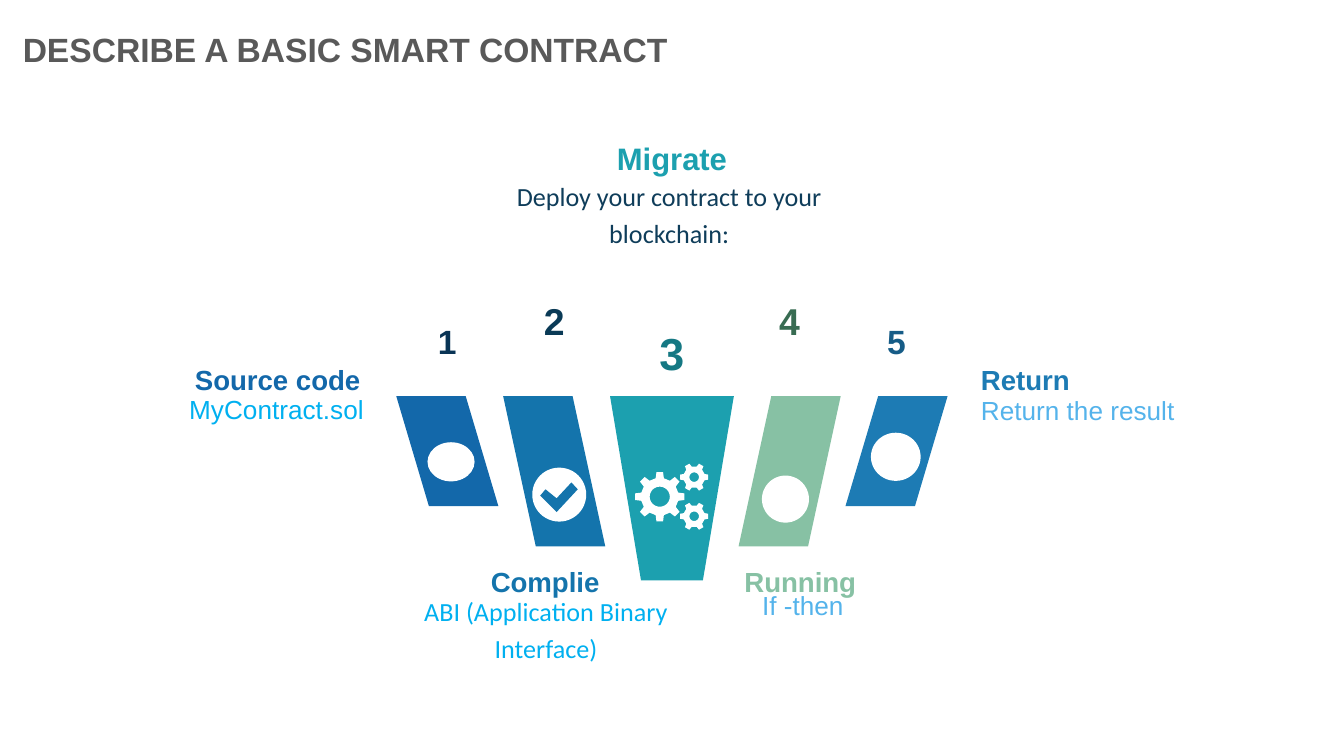
import math

from pptx import Presentation
from pptx import util as u
from pptx.dml.color import RGBColor
from pptx.enum import shapes, text

SHAPE = shapes.MSO_SHAPE
LEFT, CENTER, RIGHT = text.PP_ALIGN.LEFT, text.PP_ALIGN.CENTER, text.PP_ALIGN.RIGHT
TOP, MIDDLE = text.MSO_ANCHOR.TOP, text.MSO_ANCHOR.MIDDLE
WHITE = "FFFFFF"


def paint(shape, color):
    """Give a shape a flat fill without outline or shadow."""
    shape.fill.solid()
    shape.fill.fore_color.rgb = RGBColor.from_string(color)
    shape.line.fill.background()
    shape.shadow.inherit = False


def write(shape, words, size, color, bold=True, font="Arial", align=CENTER,
          anchor=MIDDLE, side=0, spacing=1.0, wrap=True):
    frame = shape.text_frame
    frame.auto_size = text.MSO_AUTO_SIZE.NONE
    frame.word_wrap = wrap
    frame.vertical_anchor = anchor
    frame.margin_left = frame.margin_right = u.Cm(side)
    frame.margin_top = frame.margin_bottom = 0
    paragraph = frame.paragraphs[0]
    paragraph.alignment = align
    paragraph.line_spacing = spacing
    run = paragraph.add_run()
    run.text = words
    run.font.name = font
    run.font.size = u.Pt(size)
    run.font.bold = bold
    run.font.color.rgb = RGBColor.from_string(color)


presentation = Presentation()
presentation.slide_width = u.Cm(25.4)
presentation.slide_height = u.Cm(14.29)
slide = presentation.slides.add_slide(presentation.slide_layouts[5])
slide.background.fill.solid()
slide.background.fill.fore_color.rgb = RGBColor.from_string(WHITE)

title = slide.shapes.title
title.left, title.top, title.width, title.height = (
    u.Cm(length) for length in (0.43, 0.36, 12.5, 1.12))
write(title, "DESCRIBE A BASIC SMART CONTRACT", 18, "595959", align=LEFT, wrap=False)

# Step headings: words, left, top, width, height, size, colour, alignment, anchor, side margin
headings = [
    ("Source code", 2.01, 6.86, 5, 0.51, 14.8, "1368AA", RIGHT, TOP, 0.2),
    ("Complie", 6.53, 10.67, 5, 0.51, 14.8, "1474AC", RIGHT, TOP, 0.2),
    ("Migrate", 10.59, 2.64, 4.22, 0.69, 16.6, "1CA0AF", CENTER, MIDDLE, 0),
    ("Running", 13.87, 10.67, 5.13, 0.51, 14.8, "87C1A4", LEFT, TOP, 0.2),
    ("Return", 18.34, 6.86, 5.13, 0.51, 14.8, "1D7BB4", LEFT, TOP, 0.2),
]
for words, left, top, width, height, size, color, align, anchor, side in headings:
    box = slide.shapes.add_textbox(u.Cm(left), u.Cm(top), u.Cm(width), u.Cm(height))
    write(box, words, size, color, align=align, anchor=anchor, side=side)

# Step details: words, left, top, width, height, colour, font, alignment, side margin
details = [
    ("MyContract.sol", 1.42, 7.06, 5.66, 1.22, "00B0F0", "Arial", RIGHT, 0.2),
    ("ABI (Application Binary Interface)", 7.49, 11.23, 5.66, 1.22, "00B0F0", "Calibri", CENTER, 0.2),
    ("Deploy your contract to\u00a0your blockchain:", 9.5, 3.35, 6.3, 1.3, "0F3D5A", "Calibri", CENTER, 0),
    ("If -then", 12.29, 10.77, 5.77, 1.22, "54B3EB", "Arial", CENTER, 0.2),
    ("Return the result", 18.34, 7.09, 4.57, 1.22, "54B3EB", "Arial", LEFT, 0.2),
]
for words, left, top, width, height, color, font, align, side in details:
    box = slide.shapes.add_textbox(u.Cm(left), u.Cm(top), u.Cm(width), u.Cm(height))
    write(box, words, 14, color, bold=False, font=font, align=align, side=side, spacing=1.2)

# Each step is a white numbered upper half mirrored by a coloured lower half:
# preset, width, upper height, lower height, number size, number colour, fill, mirrored
steps = [
    (SHAPE.PARALLELOGRAM, 1.93, 2.08, 2.08, 18, "093455", "1368AA", False),
    (SHAPE.PARALLELOGRAM, 1.93, 2.84, 2.84, 20, "0A3A56", "1474AC", False),
    (SHAPE.TRAPEZOID, 2.34, 1.93, 3.48, 24, "157883", "1CA0AF", False),
    (SHAPE.PARALLELOGRAM, 1.93, 2.84, 2.84, 20, "386C52", "87C1A4", True),
    (SHAPE.PARALLELOGRAM, 1.93, 2.08, 2.08, 18, "165C87", "1D7BB4", True),
]
left, fold, gap = 7.49, 7.49, 0.09
for number, (preset, width, rise, drop, size, number_color, fill, mirrored) in enumerate(steps, 1):
    upper = slide.shapes.add_shape(preset, u.Cm(left), u.Cm(fold - rise), u.Cm(width), u.Cm(rise))
    lower = slide.shapes.add_shape(preset, u.Cm(left), u.Cm(fold), u.Cm(width), u.Cm(drop))
    for half, color in ((upper, WHITE), (lower, fill)):
        paint(half, color)
        if preset == SHAPE.PARALLELOGRAM:
            half.adjustments[0] = 0.32
        if mirrored:
            half._element.spPr.xfrm.set("flipH", "1")
    lower._element.spPr.xfrm.set("flipV", "1")
    write(upper, str(number), size, number_color, wrap=False)
    left += width + gap

# Round icons on steps 1, 2, 4 and 5
for left, top, width, height in ((8.08, 8.36, 0.89, 0.74), (10.06, 8.84, 1.02, 1.02),
                                 (14.4, 8.99, 0.89, 0.89), (16.46, 8.18, 0.94, 0.91)):
    icon = slide.shapes.add_shape(SHAPE.OVAL, u.Cm(left), u.Cm(top), u.Cm(width), u.Cm(height))
    paint(icon, WHITE)

check_points = [(10.21, 9.37), (10.31, 9.25), (10.52, 9.42),
                (10.8, 9.12), (10.92, 9.25), (10.52, 9.68)]
check_points = [(u.Cm(x), u.Cm(y)) for x, y in check_points]
builder = slide.shapes.build_freeform(*check_points[0])
builder.add_line_segments(check_points[1:], close=True)
paint(builder.convert_to_shape(), "1474AC")

# Gears on step 3: centre, outer radius, hole radius, teeth
for x, y, radius, hole, teeth in ((12.47, 9.39, 0.47, 0.19, 8),
                                  (13.12, 9.02, 0.27, 0.09, 6),
                                  (13.12, 9.76, 0.27, 0.09, 6)):
    pitch = 2 * math.pi / teeth
    rim = [(pitch * (tooth + offset), radius * reach) for tooth in range(teeth)
           for offset, reach in ((-0.28, 0.76), (-0.17, 1), (0.17, 1), (0.28, 0.76))]
    bore = [(math.pi * step / 12, hole) for step in range(24)]
    outlines = [[(u.Cm(x + r * math.cos(angle)), u.Cm(y + r * math.sin(angle)))
                 for angle, r in outline] for outline in (rim, bore)]
    builder = slide.shapes.build_freeform(*outlines[0][0])
    builder.add_line_segments(outlines[0][1:], close=True)
    builder.move_to(*outlines[1][0])
    builder.add_line_segments(outlines[1][1:], close=True)
    paint(builder.convert_to_shape(), WHITE)

presentation.save("out.pptx")
